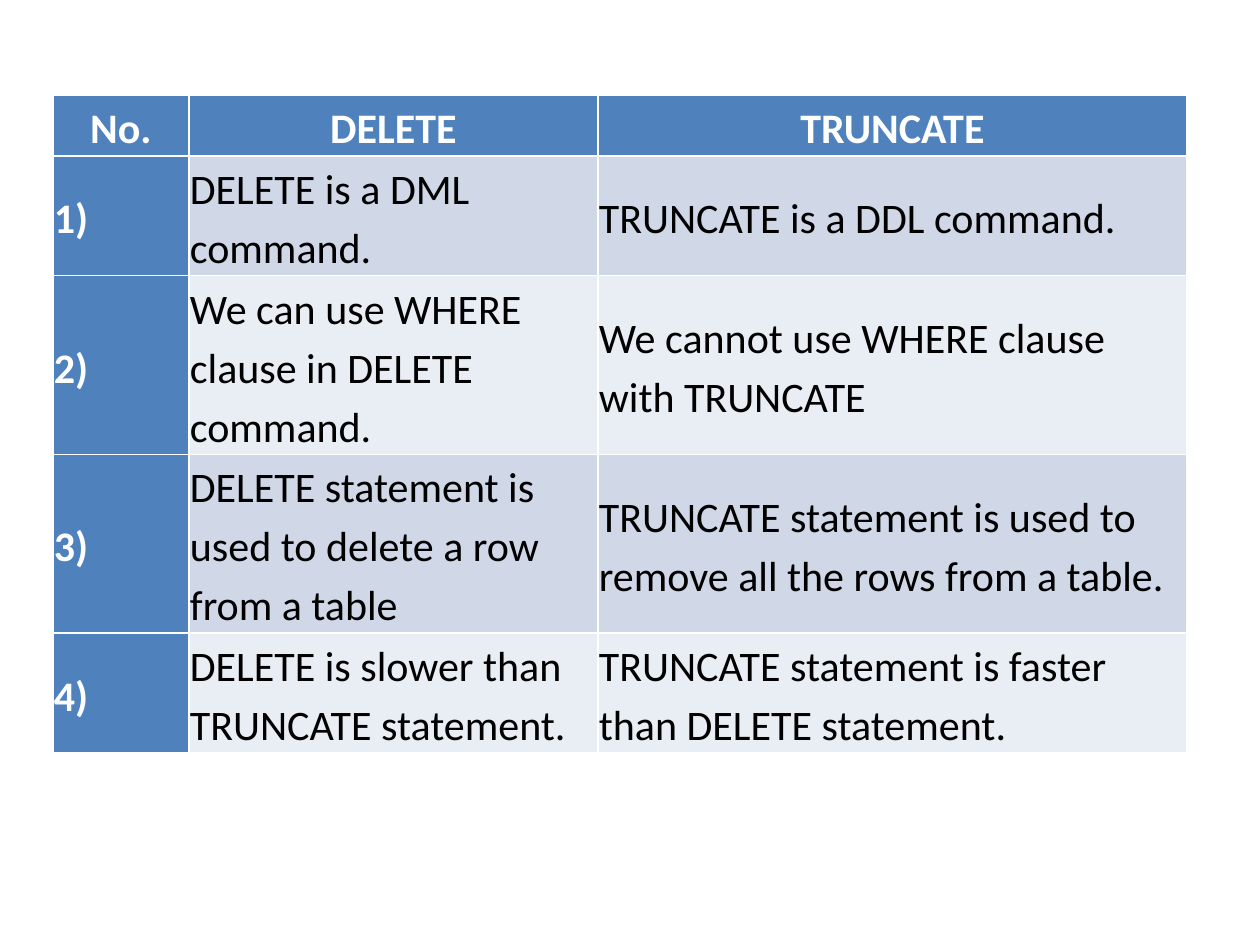
from pptx import Presentation, util as u
from pptx.dml.color import RGBColor
from pptx.enum import text

HEADER = ("No.", "DELETE", "TRUNCATE")
ROWS = [
    ("1)", "DELETE is a DML command.", "TRUNCATE is a DDL command."),
    ("2)", "We can use WHERE clause in DELETE command.",
     "We cannot use WHERE clause with TRUNCATE"),
    ("3)", "DELETE statement is used to delete a row from a table",
     "TRUNCATE statement is used to remove all the rows from a table."),
    ("4)", "DELETE is slower than TRUNCATE statement.",
     "TRUNCATE statement is faster than DELETE statement."),
]
COLORS = {"head": "4F81BD", "odd": "D0D8E8", "even": "E9EDF4",
          "light": "FFFFFF", "dark": "000000"}
LEFT, TOP = 53, 95
COL_WIDTHS = (136, 409, 589)
ROW_HEIGHTS = (57, 57, 111, 111, 111)


def px(n):
    return u.Emu(round(n * 914400 / 126))


def color(name):
    return RGBColor.from_string(COLORS[name])


def fill_cell(cell, content, row, col):
    heading = row == 0 or col == 0
    cell.margin_left = cell.margin_right = px(1)
    cell.margin_top = cell.margin_bottom = px(1)
    cell.vertical_anchor = text.MSO_ANCHOR.MIDDLE
    cell.fill.solid()
    cell.fill.fore_color.rgb = color(
        "head" if heading else "odd" if row % 2 else "even")
    cell.text = content
    p = cell.text_frame.paragraphs[0]
    p.alignment = text.PP_ALIGN.CENTER if row == 0 else text.PP_ALIGN.LEFT
    p.line_spacing = 1.15
    p.font.name = "Calibri"
    p.font.size = u.Pt(24)
    p.font.bold = heading
    p.font.color.rgb = color("light" if heading else "dark")


def main():
    prs = Presentation()
    prs.slide_width, prs.slide_height = px(1260), px(945)
    s = prs.slides.add_slide(prs.slide_layouts[6])
    table = s.shapes.add_table(
        len(ROW_HEIGHTS), len(COL_WIDTHS), px(LEFT), px(TOP),
        px(sum(COL_WIDTHS)), px(sum(ROW_HEIGHTS))).table
    table.first_col = True
    for column, width in zip(table.columns, COL_WIDTHS):
        column.width = px(width)
    for row, height in zip(table.rows, ROW_HEIGHTS):
        row.height = px(height)
    for r, contents in enumerate([HEADER, *ROWS]):
        for c, content in enumerate(contents):
            fill_cell(table.cell(r, c), content, r, c)
    prs.save("out.pptx")


if __name__ == "__main__":
    main()
